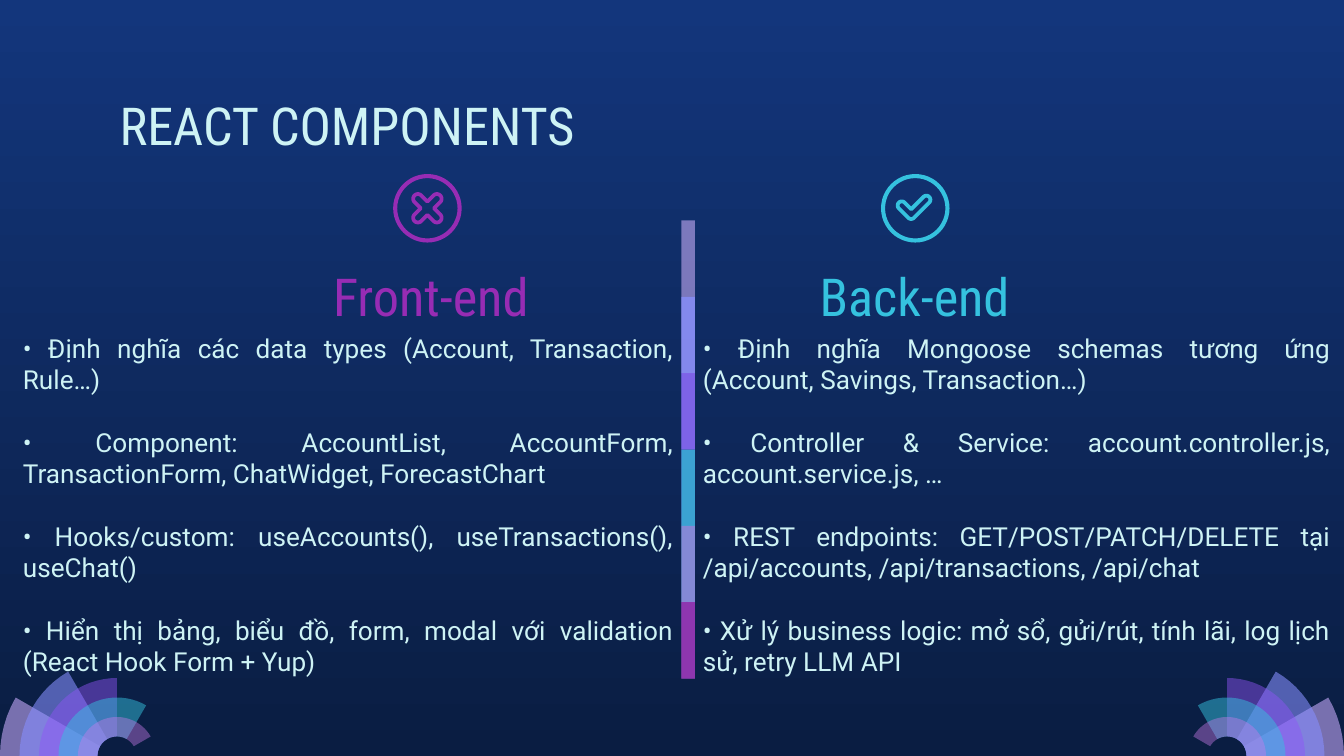
from dataclasses import dataclass
from math import cos, radians, sin

from lxml.etree import SubElement
from pptx import Presentation
from pptx.dml.color import RGBColor
from pptx.enum.shapes import MSO_SHAPE
from pptx.enum.text import MSO_ANCHOR, MSO_AUTO_SIZE, PP_ALIGN
from pptx.oxml.ns import qn
from pptx.util import Inches, Pt

Point = tuple[float, float]
Box = tuple[float, float, float, float]


@dataclass(frozen=True)
class Theme:
    sky: str = "13367C"
    night: str = "0A1D42"
    text: str = "CEF3F5"
    purple: str = "972CB4"
    cyan: str = "35C2DF"
    lilac: str = "C8ACFD"
    pale_lilac: str = "C8AEF8"
    periwinkle: str = "878FFF"
    violet: str = "9154F8"
    orchid: str = "CA7BEB"
    heading_font: str = "Roboto Condensed"
    body_font: str = "Roboto"
    heading_size: float = 28
    body_size: float = 14
    item_gap: float = 16.8


@dataclass(frozen=True)
class Tint:
    color: str
    opacity: int


@dataclass(frozen=True)
class Arm:
    angle: float
    length: float


@dataclass(frozen=True)
class Column:
    heading: str
    color: str
    heading_left: float
    list_left: float
    list_width: float
    items: tuple[str, ...]
    icon_center: Point
    mark_hub: Point
    mark_radius: float
    arms: tuple[Arm, ...]
    heading_idx: int
    list_idx: int


THEME = Theme()
WIDTH, HEIGHT = 10, 5.625

COLUMNS = (
    Column("Front-end", THEME.purple, 2.03, 0.07, 5.04, (
        "• Định nghĩa các data types (Account, Transaction, Rule…)",
        "• Component: AccountList, AccountForm, TransactionForm, ChatWidget, ForecastChart",
        "• Hooks/custom: useAccounts(), useTransactions(), useChat()",
        "• Hiển thị bảng, biểu đồ, form, modal với validation (React Hook Form + Yup)",
    ), (3.18, 1.55), (3.18, 1.55), 0.035,
        tuple(Arm(angle, 0.1) for angle in (45, 135, 225, 315)), 1, 2),
    Column("Back-end", THEME.cyan, 5.63, 5.13, 4.87, (
        "• Định nghĩa Mongoose schemas tương ứng (Account, Savings, Transaction…)",
        "• Controller & Service: account.controller.js, account.service.js, …",
        "• REST endpoints: GET/POST/PATCH/DELETE tại /api/accounts, /api/transactions, /api/chat",
        "• Xử lý business logic: mở sổ, gửi/rút, tính lãi, log lịch sử, retry LLM API",
    ), (6.81, 1.55), (6.78, 1.6), 0.03, (Arm(225, 0.1), Arm(315, 0.16)), 3, 4),
)

# Fan rings from the outside in; divider segments from the top down
FAN_TINTS = (Tint(THEME.lilac, 58), Tint(THEME.periwinkle, 58), Tint(THEME.violet, 46),
             Tint(THEME.cyan, 49), Tint(THEME.orchid, 42))
DIVIDER_TINTS = (Tint(THEME.pale_lilac, 59), Tint(THEME.periwinkle, 74),
                 Tint(THEME.violet, 53), Tint(THEME.cyan, 76),
                 Tint(THEME.orchid, 56), Tint(THEME.purple, 74))


def rgb(color: str) -> RGBColor:
    return RGBColor.from_string(color)


def paint(shape, tint: Tint) -> None:
    shape.shadow.inherit = False
    shape.line.fill.background()
    shape.fill.solid()
    shape.fill.fore_color.rgb = rgb(tint.color)
    if tint.opacity < 100:
        color = shape._element.spPr.find(f"{qn('a:solidFill')}/{qn('a:srgbClr')}")
        SubElement(color, qn("a:alpha"), val=str(tint.opacity * 1000))


def arc(center: Point, radius: float, start: float, end: float) -> list[Point]:
    steps = max(4, round(abs(end - start) / 5))
    angles = [radians(start + (end - start) * i / steps) for i in range(steps + 1)]
    return [(center[0] + radius * cos(a), center[1] + radius * sin(a)) for a in angles]


def add_outline(group, points: list[Point]):
    corners = [(Inches(x), Inches(y)) for x, y in points]
    builder = group.shapes.build_freeform(*corners[0])
    builder.add_line_segments(corners[1:], close=True)
    return builder.convert_to_shape()


def add_fan(slide, center_x: float, direction: int) -> None:
    """Draw rings that sweep 30 degrees further as they get smaller."""
    group = slide.shapes.add_group_shape()
    step = 0.145
    for i, tint in enumerate(FAN_TINTS):
        sweep = 180 + 30 * (i + 1)
        points = (arc((0, HEIGHT), step * (6 - i), 180, sweep)
                  + arc((0, HEIGHT), step, sweep, 180))
        paint(add_outline(group, [(center_x + direction * x, y) for x, y in points]), tint)


def mark_outline(hub: Point, radius: float, arms: tuple[Arm, ...]) -> list[Point]:
    """Trace round-ended arms that meet at a hub."""
    points: list[Point] = []
    for arm, following in zip(arms, arms[1:] + arms[:1]):
        angle = radians(arm.angle)
        tip = (hub[0] + arm.length * cos(angle), hub[1] + arm.length * sin(angle))
        points += arc(tip, radius, arm.angle - 90, arm.angle + 90)
        gap = (following.angle - arm.angle) % 360
        if gap < 180:
            middle = radians(arm.angle + gap / 2)
            reach = radius / sin(radians(gap / 2))
            points.append((hub[0] + reach * cos(middle), hub[1] + reach * sin(middle)))
        else:
            points += arc(hub, radius, arm.angle + 90, arm.angle + gap - 90)
    return points


def add_icon(slide, column: Column) -> None:
    group = slide.shapes.add_group_shape()
    size = 0.51
    x, y = column.icon_center
    ring = group.shapes.add_shape(MSO_SHAPE.DONUT, Inches(x - size / 2),
                                  Inches(y - size / 2), Inches(size), Inches(size))
    ring.adjustments[0] = 0.06
    paint(ring, Tint(column.color, 100))
    mark = add_outline(group, mark_outline(column.mark_hub, column.mark_radius, column.arms))
    mark.shadow.inherit = False
    mark.fill.background()
    mark.line.color.rgb = rgb(column.color)
    mark.line.width = Pt(2)


def add_divider(slide) -> None:
    """Stack see-through bars, each covering half of the one before."""
    group = slide.shapes.add_group_shape()
    top, bottom = 1.64, 5.05
    step = (bottom - top) / len(DIVIDER_TINTS)
    for i, tint in enumerate(DIVIDER_TINTS):
        y = top + i * step
        bar = group.shapes.add_shape(MSO_SHAPE.RECTANGLE, Inches(5.07), Inches(y),
                                     Inches(0.1), Inches(min(2 * step, bottom - y)))
        paint(bar, tint)


def fill_placeholder(holder, box: Box, lines: tuple[str, ...], font: str, size: float,
                     color: str, align: PP_ALIGN, anchor: MSO_ANCHOR) -> None:
    holder.left, holder.top, holder.width, holder.height = map(Inches, box)
    frame = holder.text_frame
    frame.text = "\n".join(lines)
    frame.word_wrap = True
    frame.auto_size = MSO_AUTO_SIZE.NONE
    frame.vertical_anchor = anchor
    frame.margin_left = frame.margin_right = Inches(0.1)
    frame.margin_top = frame.margin_bottom = Inches(0.1)
    for i, paragraph in enumerate(frame.paragraphs):
        properties = paragraph._p.get_or_add_pPr()
        properties.set("marL", "0")
        properties.set("indent", "0")
        SubElement(properties, qn("a:buNone"))
        paragraph.alignment = align
        paragraph.space_before = Pt(THEME.item_gap if i else 0)
        for run in paragraph.runs:
            run.font.name, run.font.size, run.font.bold = font, Pt(size), False
            run.font.color.rgb = rgb(color)


def main() -> None:
    prs = Presentation()
    prs.slide_width, prs.slide_height = Inches(WIDTH), Inches(HEIGHT)
    slide = prs.slides.add_slide(prs.slide_layouts.get_by_name("Comparison"))

    # Background
    background = slide.background.fill
    background.gradient()
    background.gradient_angle = 270
    for stop, color in zip(background.gradient_stops, (THEME.sky, THEME.night)):
        stop.color.rgb = rgb(color)

    # Corner fans
    add_fan(slide, 0.87, 1)
    add_fan(slide, WIDTH - 0.87, -1)

    # Title
    fill_placeholder(slide.shapes.title, (0.79, 0.59, 8.43, 0.63), ("REACT COMPONENTS",),
                     THEME.heading_font, THEME.heading_size, THEME.text,
                     PP_ALIGN.LEFT, MSO_ANCHOR.TOP)

    # Columns
    holders = {holder.placeholder_format.idx: holder for holder in slide.placeholders}
    for column in COLUMNS:
        fill_placeholder(holders[column.heading_idx], (column.heading_left, 1.9, 2.35, 0.63),
                         (column.heading,), THEME.heading_font, THEME.heading_size,
                         column.color, PP_ALIGN.CENTER, MSO_ANCHOR.BOTTOM)
        fill_placeholder(holders[column.list_idx],
                         (column.list_left, 2.37, column.list_width, 1.12), column.items,
                         THEME.body_font, THEME.body_size, THEME.text,
                         PP_ALIGN.JUSTIFY, MSO_ANCHOR.TOP)
        add_icon(slide, column)

    # Divider
    add_divider(slide)
    prs.save("out.pptx")


if __name__ == "__main__":
    main()
